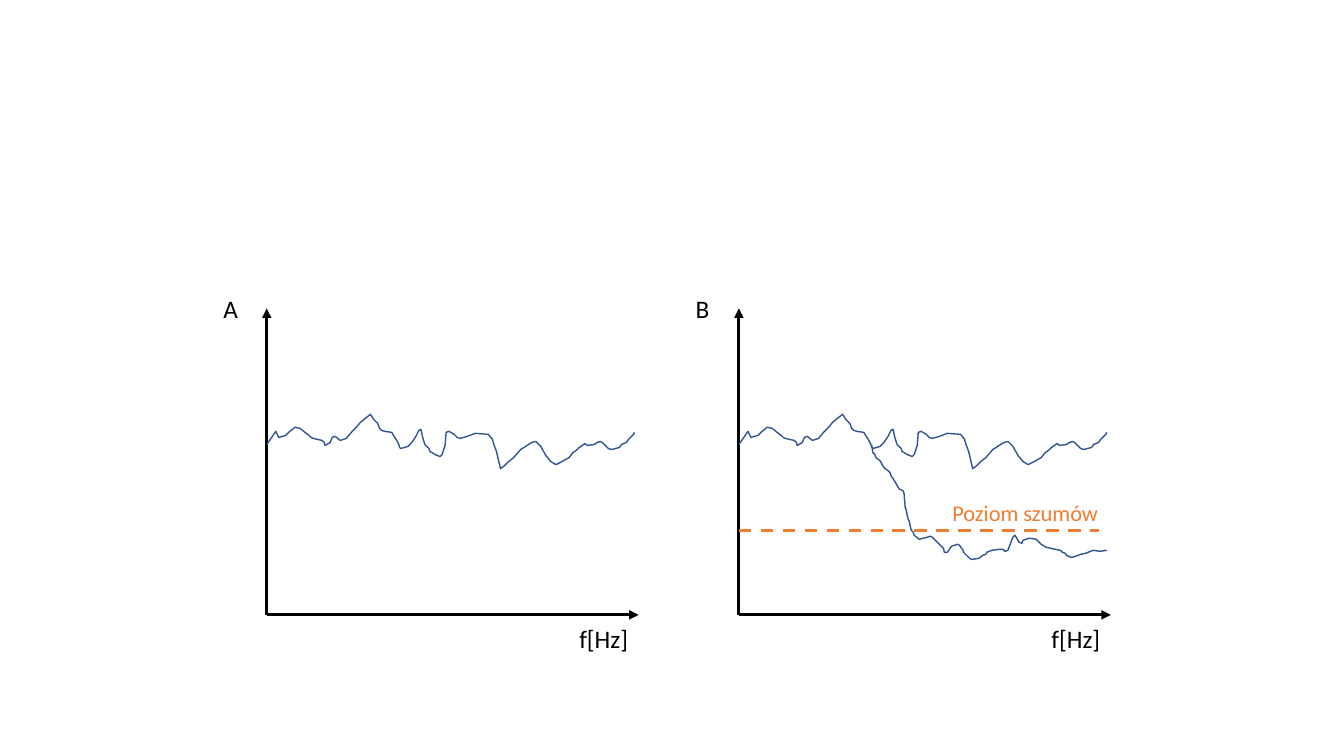
from lxml import etree
from pptx import Presentation
from pptx import util as u
from pptx.dml.color import RGBColor
from pptx.enum import dml, shapes, text
from pptx.oxml import ns

BLACK = RGBColor(0x00, 0x00, 0x00)
BLUE = RGBColor(0x32, 0x54, 0x91)
ORANGE = RGBColor(0xED, 0x7D, 0x31)
FONT = "Calibri"

# Curves: (distance along the axis, height above it), in units of UNIT points
UNIT = 0.72
SIGNAL = [
    (0, 169), (5, 176), (9, 182), (12, 176), (19, 178), (23, 182), (28, 186),
    (33, 185), (38, 181), (42, 178), (44, 176), (46, 175), (55, 173), (57, 171),
    (58, 168), (63, 171), (65, 176), (68, 177), (73, 173), (79, 175), (84, 181),
    (86, 183), (89, 186), (93, 191), (103, 199), (106, 194), (110, 190),
    (112, 185), (114, 183), (117, 182), (124, 181), (129, 173), (131, 169),
    (132, 166), (133, 165), (140, 167), (144, 171), (148, 177), (151, 183),
    (153, 184), (155, 175), (157, 169), (161, 165), (162, 162), (164, 161),
    (167, 159), (172, 157), (174, 159), (177, 168), (178, 181), (181, 182),
    (186, 179), (189, 176), (192, 175), (199, 177), (207, 180), (220, 179),
    (224, 174), (225, 170), (228, 162), (232, 145), (236, 148), (240, 152),
    (245, 156), (252, 164), (263, 171), (267, 172), (272, 167), (277, 158),
    (282, 152), (287, 149), (291, 151), (300, 156), (304, 161), (307, 163),
    (310, 166), (316, 170), (318, 168), (325, 169), (328, 171), (331, 172),
    (333, 171), (339, 165), (342, 164), (350, 166), (352, 169), (357, 171),
    (359, 174), (362, 177), (364, 179), (365, 181),
]
FILTERED = [
    (132, 168), (133, 161), (135, 159), (136, 156), (140, 153), (144, 146),
    (148, 143), (150, 141), (151, 138), (153, 135), (155, 132), (159, 125),
    (161, 124), (163, 123), (164, 120), (165, 107), (166, 104), (168, 95),
    (169, 93), (171, 84), (173, 82), (174, 79), (179, 75), (187, 77), (190, 78),
    (192, 77), (194, 75), (199, 70), (201, 68), (203, 66), (204, 62), (207, 62),
    (211, 68), (217, 70), (219, 69), (221, 66), (222, 65), (223, 62), (229, 56),
    (231, 55), (238, 56), (242, 59), (245, 60), (246, 62), (251, 64), (259, 65),
    (262, 65), (264, 63), (267, 64), (270, 72), (271, 75), (272, 77), (274, 79),
    (277, 74), (278, 72), (281, 71), (282, 74), (288, 76), (295, 75), (300, 70),
    (305, 67), (314, 65), (319, 64), (321, 62), (324, 61), (325, 59), (330, 57),
    (334, 58), (339, 60), (344, 61), (349, 63), (352, 64), (358, 63), (365, 64),
]
PANELS = [
    {"name": "A", "left": 190.5, "curves": [SIGNAL], "noise": None},
    {"name": "B", "left": 527.76, "curves": [SIGNAL, FILTERED],
     "noise": "Poziom szumów"},
]

# Panel measures in points
BASELINE = 439.2
AXIS_WIDTH, AXIS_HEIGHT = 265.7, 218.9
NOISE_WIDTH, NOISE_HEIGHT = 257, 60.5

presentation = Presentation()
presentation.slide_width = u.Pt(960)
presentation.slide_height = u.Pt(540)
slide = presentation.slides.add_slide(presentation.slide_layouts[6])


def add_line(x1, y1, x2, y2, color, arrow=False, dashed=False):
    line = slide.shapes.add_connector(
        shapes.MSO_CONNECTOR.STRAIGHT, u.Pt(x1), u.Pt(y1), u.Pt(x2), u.Pt(y2))
    line.line.color.rgb = color
    line.line.width = u.Pt(2.25)
    if dashed:
        line.line.dash_style = dml.MSO_LINE.DASH
    if arrow:
        outline = line.line._get_or_add_ln()
        etree.SubElement(outline, ns.qn("a:tailEnd"), type="triangle")
    etree.SubElement(line._element.spPr, ns.qn("a:effectLst"))


def add_curve(points, left):
    scale = u.Pt(1) / u.Pt(1) * u.Pt(UNIT)
    vertices = [(x, -height) for x, height in points]
    builder = slide.shapes.build_freeform(*vertices[0], scale=scale)
    builder.add_line_segments(vertices[1:], close=False)
    curve = builder.convert_to_shape(u.Pt(left), u.Pt(BASELINE))
    curve.shadow.inherit = False
    curve.fill.background()
    curve.line.color.rgb = BLUE
    curve.line.width = u.Pt(1)


def add_label(words, left, top, width, height, size=18, color=BLACK, wrap=False):
    box = slide.shapes.add_textbox(u.Pt(left), u.Pt(top), u.Pt(width), u.Pt(height))
    frame = box.text_frame
    frame.word_wrap = wrap
    frame.auto_size = text.MSO_AUTO_SIZE.SHAPE_TO_FIT_TEXT
    paragraph = frame.paragraphs[0]
    paragraph.text = words
    paragraph.font.name = FONT
    paragraph.font.size = u.Pt(size)
    paragraph.font.color.rgb = color


for panel in PANELS:
    left = panel["left"]
    # Axes
    add_line(left, BASELINE, left + AXIS_WIDTH, BASELINE, BLACK, arrow=True)
    add_line(left, BASELINE, left, BASELINE - AXIS_HEIGHT, BLACK, arrow=True)
    # Spectra
    for points in panel["curves"]:
        add_curve(points, left)
    # Noise level
    if panel["noise"]:
        level = BASELINE - NOISE_HEIGHT
        add_line(left, level, left + NOISE_WIDTH, level, ORANGE, dashed=True)
        add_label(panel["noise"], left + 145.4, level - 26, 133.9, 26.6,
                  size=16, color=ORANGE, wrap=True)
    # Panel name and axis label
    add_label(panel["name"], left - 38, 205.9, 25.2, 28.8)
    add_label("f[Hz]", left + 216.2, 441.4, 49.7, 28.8)

presentation.save("out.pptx")
